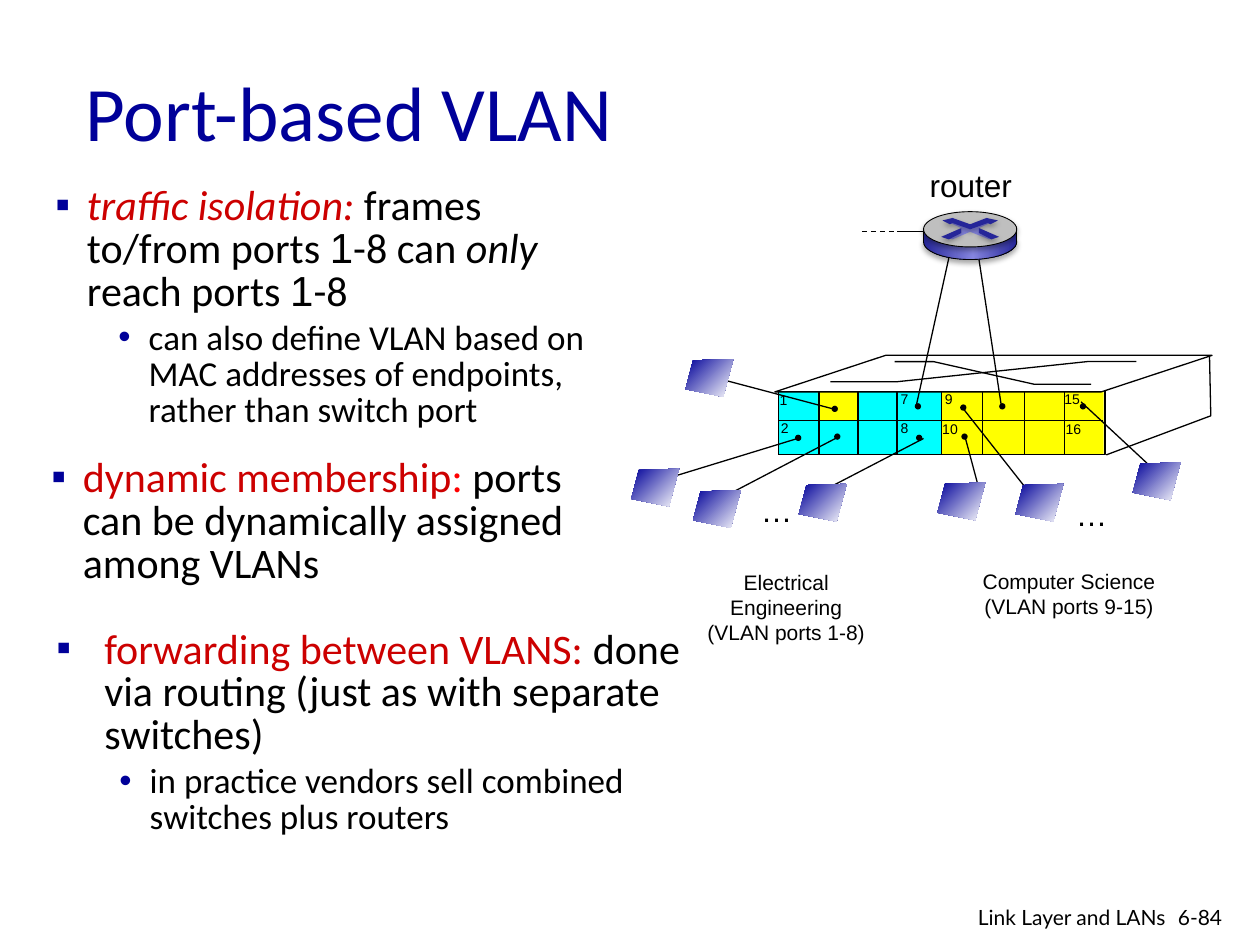
from copy import deepcopy
from lxml import etree
from pptx import Presentation
from pptx.dml.color import RGBColor
from pptx.enum.dml import MSO_LINE
from pptx.enum.shapes import MSO_CONNECTOR, MSO_SHAPE
from pptx.enum.text import MSO_ANCHOR, MSO_AUTO_SIZE, PP_ALIGN
from pptx.oxml.ns import qn
from pptx.util import Inches, Pt

BLACK = RGBColor(0x00, 0x00, 0x00)
WHITE = RGBColor(0xFF, 0xFF, 0xFF)
NAVY = RGBColor(0x00, 0x00, 0x99)
RED = RGBColor(0xCC, 0x00, 0x00)
BRIGHT_RED = RGBColor(0xFF, 0x00, 0x00)
YELLOW = RGBColor(0xFF, 0xFF, 0x00)
CYAN = RGBColor(0x00, 0xFF, 0xFF)
GRAY = RGBColor(0xBF, 0xBF, 0xBF)
DARK_BLUE = RGBColor(0x26, 0x26, 0x99)
LIGHT_BLUE = RGBColor(0x85, 0x85, 0xE0)
ROUTER_GRADIENT = [(0, DARK_BLUE), (0.53, LIGHT_BLUE), (1, DARK_BLUE)]
COMPUTER_GRADIENT = [(0, NAVY), (1, WHITE)]

presentation = Presentation()
presentation.slide_width = Inches(10)
presentation.slide_height = Inches(7.5)
slide = presentation.slides.add_slide(presentation.slide_layouts[1])
shapes = slide.shapes


def style_shape(shape, fill=None, width=None, angle=0, shadow=False):
    """Fill is a colour, a list of gradient stops or None; width is the line in points."""
    shape.shadow.inherit = False
    if fill is None:
        shape.fill.background()
    elif isinstance(fill, list):
        shape.fill.gradient()
        shape.fill.gradient_angle = angle
        stop_list = shape._element.spPr.find(".//" + qn("a:gsLst"))
        while len(stop_list) < len(fill):
            stop_list.append(deepcopy(stop_list[0]))
        for stop, (position, color) in zip(shape.fill.gradient_stops, fill):
            stop.position = position
            stop.color.rgb = color
    else:
        shape.fill.solid()
        shape.fill.fore_color.rgb = fill
    if width is None:
        shape.line.fill.background()
    else:
        shape.line.color.rgb = BLACK
        shape.line.width = Pt(width)
    if shadow:
        effects = shape._element.spPr.find(qn("a:effectLst"))
        outer = etree.SubElement(effects, qn("a:outerShdw"), blurRad=str(Pt(3.1)),
                                 dist=str(Pt(1.8)), dir="5400000")
        color = etree.SubElement(outer, qn("a:srgbClr"), val="000000")
        etree.SubElement(color, qn("a:alpha"), val="35000")


def add_outline(points, closed=True):
    corners = [(Inches(x), Inches(y)) for x, y in points]
    builder = shapes.build_freeform(*corners[0], scale=1.0)
    builder.add_line_segments(corners[1:], close=closed)
    return builder.convert_to_shape()


# Title
title = shapes.title
title.left, title.top, title.width, title.height = [Inches(v) for v in (0.58, 0.25, 8.5, 1.25)]
title.text_frame.text = "Port-based VLAN"
title.text_frame.vertical_anchor = MSO_ANCHOR.MIDDLE
title.text_frame.paragraphs[0].alignment = PP_ALIGN.LEFT
title_font = title.text_frame.paragraphs[0].runs[0].font
title_font.name, title_font.size, title_font.color.rgb = "Calibri", Pt(44), NAVY

# Bulleted text: per box the placing, first hanging indent and paragraphs of
# (text, colour, italic, font) runs
SANS, DIGIT = "Calibri", "Arial"
text_blocks = [
    ((0.34, 1.43, 4.65, 1.93), 0.25, [
        [("traffic isolation: ", RED, True, SANS), ("frames to/from ports ", BLACK, False, SANS),
         ("1", BLACK, False, DIGIT), ("-8 can ", BLACK, False, SANS), ("only", BLACK, True, SANS),
         (" reach ports ", BLACK, False, SANS), ("1", BLACK, False, DIGIT),
         ("-8", BLACK, False, SANS)],
        [("can also define VLAN based on MAC addresses of endpoints, rather than switch port",
          BLACK, False, SANS)]]),
    ((0.31, 3.59, 4.44, 1.3), 0.25, [
        [("dynamic membership", RED, False, SANS), (":", BRIGHT_RED, False, SANS),
         (" ports can be dynamically assigned among VLANs", BLACK, False, SANS)]]),
    ((0.35, 4.95, 5.47, 1.76), 0.38, [
        [("forwarding between VLANS: ", RED, False, SANS),
         ("done via routing (just as with separate switches)", BLACK, False, SANS)],
        [("in practice vendors sell combined switches plus routers", BLACK, False, SANS)]]),
]
for index, (place, hanging, paragraphs) in enumerate(text_blocks):
    left, top, width, height = [Inches(value) for value in place]
    if index == 0:
        box = slide.placeholders[1]
        box.left, box.top, box.width, box.height = left, top, width, height
    else:
        box = shapes.add_textbox(left, top, width, height)
    frame = box.text_frame
    frame.word_wrap = True
    frame.auto_size = MSO_AUTO_SIZE.NONE
    for level, runs in enumerate(paragraphs):
        paragraph = frame.add_paragraph() if level else frame.paragraphs[0]
        paragraph.level = level
        margin, indent, bullet, size = [(hanging, hanging, "▪", 24), (0.74, 0.24, "•", 20)][level]
        properties = paragraph._p.get_or_add_pPr()
        properties.set("marL", str(Inches(margin)))
        properties.set("indent", str(-Inches(indent)))
        bullet_color = etree.SubElement(properties, qn("a:buClr"))
        etree.SubElement(bullet_color, qn("a:srgbClr"), val=str(NAVY))
        etree.SubElement(properties, qn("a:buFont"), typeface="Arial")
        etree.SubElement(properties, qn("a:buChar"), char=bullet)
        paragraph.line_spacing = 0.85
        paragraph.space_before = Pt(4 * level)
        for text, color, italic, font_name in runs:
            run = paragraph.add_run()
            run.text = text
            run.font.name, run.font.size = font_name, Pt(size)
            run.font.italic, run.font.color.rgb = italic, color

# Switch: coloured ports, frame and top
for left, top, width, height, fill, line in [
        (6.18, 3.11, 1.29, 0.5, CYAN, None), (7.47, 3.11, 1.29, 0.5, YELLOW, None),
        (6.49, 3.11, 0.31, 0.23, YELLOW, None), (6.18, 3.1, 2.59, 0.51, None, 0.75)]:
    port = shapes.add_shape(MSO_SHAPE.RECTANGLE, Inches(left), Inches(top),
                            Inches(width), Inches(height))
    style_shape(port, fill, line)
switch_top = shapes.add_shape(MSO_SHAPE.PARALLELOGRAM, Inches(6.15), Inches(2.82),
                              Inches(3.47), Inches(0.29))
switch_top.adjustments[0] = 3.03
style_shape(switch_top, WHITE, 0.75)

# Switch side and the crossed traces on its top
for points in [[(8.78, 3.61), (9.61, 3.3), (9.6, 2.82)],
               [(6.59, 3.03), (7.12, 3.03), (8.63, 2.87), (9.02, 2.87)],
               [(7.1, 2.87), (7.41, 2.87), (8.21, 3.05), (8.66, 3.05)]]:
    style_shape(add_outline(points, closed=False), None, 0.75)

# Router body
for kind, left, top, width, height, fill, line in [
        (MSO_SHAPE.OVAL, 7.33, 1.78, 0.74, 0.28, ROUTER_GRADIENT, 0.5),
        (MSO_SHAPE.RECTANGLE, 7.33, 1.82, 0.74, 0.1, ROUTER_GRADIENT, None),
        (MSO_SHAPE.OVAL, 7.33, 1.68, 0.74, 0.28, GRAY, 0.5)]:
    part = shapes.add_shape(kind, Inches(left), Inches(top), Inches(width), Inches(height))
    style_shape(part, fill, line, shadow=kind == MSO_SHAPE.OVAL)

# Router arrows
for fill, points in [
        (LIGHT_BLUE, [(7.7, 1.84), (7.56, 1.9), (7.52, 1.89), (7.63, 1.85), (7.63, 1.81),
                      (7.54, 1.77), (7.57, 1.77), (7.7, 1.82), (7.83, 1.76), (7.86, 1.77),
                      (7.77, 1.81), (7.79, 1.86), (7.88, 1.89), (7.85, 1.9)]),
        (DARK_BLUE, [(7.48, 1.75), (7.56, 1.73), (7.7, 1.78), (7.83, 1.73), (7.92, 1.75),
                     (7.86, 1.78), (7.84, 1.77), (7.7, 1.82), (7.56, 1.77), (7.54, 1.78)]),
        (DARK_BLUE, [(7.77, 1.81), (7.93, 1.88), (7.87, 1.9), (7.77, 1.85)]),
        (DARK_BLUE, [(7.63, 1.81), (7.63, 1.85), (7.53, 1.9), (7.47, 1.88)])]:
    style_shape(add_outline(points), fill, shadow=fill == DARK_BLUE)

# Port grid, cables, router sides and uplink
port_edges = [6.18, 6.5, 6.81, 7.12, 7.47, 7.8, 8.13, 8.45]
lines = [(x, 3.11, x, 3.61, 0.75) for x in port_edges] + [
    (6.18, 3.34, 8.75, 3.34, 0.75),
    (6.33, 3.48, 5.35, 3.78, 0.75), (6.65, 3.47, 5.77, 3.93, 0.75),
    (7.33, 3.48, 6.56, 3.88, 0.75), (7.66, 3.47, 7.77, 3.88, 0.75),
    (7.65, 3.25, 8.17, 3.91, 0.75), (8.58, 3.19, 9.15, 3.72, 0.75),
    (6.63, 3.25, 5.76, 3.02, 0.75), (7.27, 3.23, 7.53, 2.05, 0.75),
    (7.95, 3.24, 7.77, 2.06, 0.75), (7.33, 1.93, 7.33, 1.82, 0.5),
    (8.07, 1.92, 8.07, 1.82, 0.5), (7.12, 1.84, 7.33, 1.84, 0.75)]
uplink = (6.84, 1.84, 7.11, 1.84, 0.75)
for x1, y1, x2, y2, width in lines + [uplink]:
    connector = shapes.add_connector(MSO_CONNECTOR.STRAIGHT, Inches(x1), Inches(y1),
                                     Inches(x2), Inches(y2))
    connector.line.color.rgb = BLACK
    connector.line.width = Pt(width)
    etree.SubElement(connector._element.spPr, qn("a:effectLst"))
connector.line.dash_style = MSO_LINE.DASH

# Cable ends in the ports
for left, top in [(6.31, 3.45), (6.62, 3.44), (7.27, 3.45), (7.63, 3.44), (7.62, 3.21),
                  (8.57, 3.2), (7.26, 3.2), (7.93, 3.2), (6.6, 3.22)]:
    dot = shapes.add_shape(MSO_SHAPE.OVAL, Inches(left), Inches(top), Inches(0.05), Inches(0.05))
    style_shape(dot, BLACK)

# Computers
computer_outline = [(0.38, 0), (0.06, 0.01), (0, 0.24), (0.3, 0.3)]
for left, top in [(5.01, 3.72), (5.5, 3.89), (6.34, 3.84), (7.44, 3.83), (8.06, 3.84),
                  (8.99, 3.67), (5.44, 2.85)]:
    computer = add_outline([(left + x, top + y) for x, y in computer_outline])
    style_shape(computer, COMPUTER_GRADIENT, angle=315)

# Labels and footer
LEFT, CENTER, RIGHT = PP_ALIGN.LEFT, PP_ALIGN.CENTER, PP_ALIGN.RIGHT
for text, left, top, width, height, size, font_name, alignment, wrap in [
        ("1", 6.09, 3.06, 0.26, 0.23, 8, "Arial", LEFT, False),
        ("2", 6.1, 3.28, 0.26, 0.23, 8, "Arial", LEFT, False),
        ("7", 7.05, 3.05, 0.26, 0.23, 8, "Arial", LEFT, False),
        ("8", 7.05, 3.28, 0.26, 0.23, 8, "Arial", LEFT, False),
        ("9", 7.4, 3.05, 0.26, 0.23, 8, "Arial", LEFT, False),
        ("10", 7.38, 3.29, 0.33, 0.23, 8, "Arial", LEFT, False),
        ("15", 8.35, 3.05, 0.33, 0.23, 8, "Arial", LEFT, False),
        ("16", 8.36, 3.29, 0.33, 0.23, 8, "Arial", LEFT, False),
        ("…", 5.94, 3.85, 0.45, 0.4, 18, "Arial", LEFT, False),
        ("…", 8.44, 3.88, 0.45, 0.4, 18, "Arial", LEFT, False),
        ("router", 7.28, 1.27, 0.86, 0.4, 18, "Arial", LEFT, False),
        ("Electrical Engineering\n(VLAN ports 1-8)", 5.49, 4.47, 1.5, 0.7, 12, "Arial", CENTER, True),
        ("Computer Science\n(VLAN ports 9-15)", 7.7, 4.46, 1.57, 0.5, 12, "Arial", CENTER, False),
        ("Link Layer and LANs", 6.97, 7.13, 2.38, 0.26, 12, "Lato", RIGHT, True),
        ("6-84", 9.25, 7.13, 0.6, 0.3, 12, "Lato", LEFT, True)]:
    label = shapes.add_textbox(Inches(left), Inches(top), Inches(width), Inches(height))
    label.text_frame.word_wrap = wrap
    label.text_frame.text = text
    for paragraph in label.text_frame.paragraphs:
        paragraph.alignment = alignment
        font = paragraph.runs[0].font
        font.name, font.size, font.color.rgb = font_name, Pt(size), BLACK

presentation.save("out.pptx")
